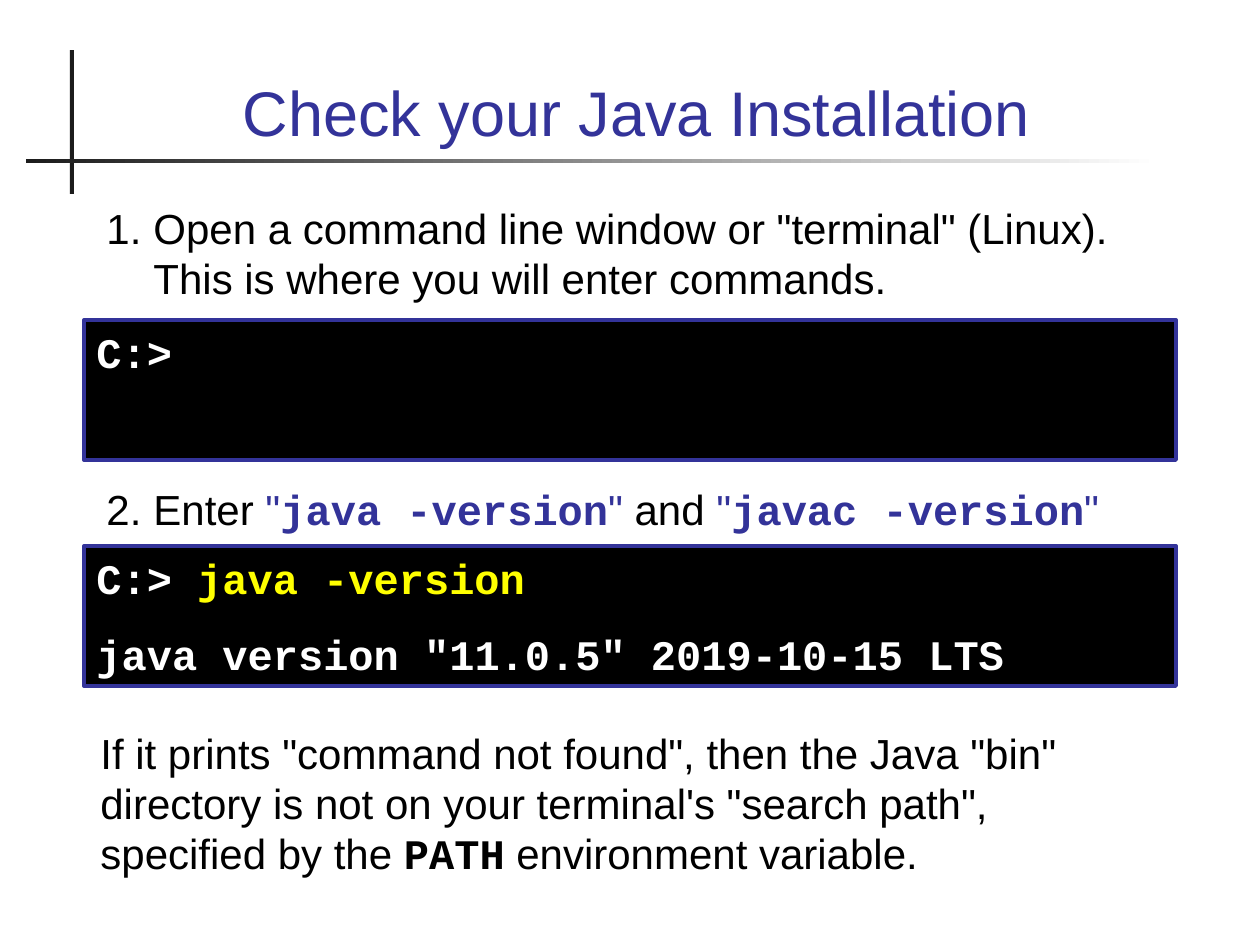
from dataclasses import dataclass

from lxml import etree
from pptx import Presentation
from pptx.dml.color import RGBColor
from pptx.enum.shapes import MSO_SHAPE
from pptx.enum.text import MSO_ANCHOR, PP_ALIGN
from pptx.oxml.ns import qn
from pptx.util import Emu, Pt

RECT = MSO_SHAPE.RECTANGLE
TOP, BOTTOM = MSO_ANCHOR.TOP, MSO_ANCHOR.BOTTOM
LEFT, CENTER = PP_ALIGN.LEFT, PP_ALIGN.CENTER
PX_PER_INCH = 126


@dataclass(frozen=True)
class Theme:
    """Colours, fonts and sizes of the slide."""
    accent: str = "333399"
    ink: str = "000000"
    paper: str = "FFFFFF"
    rule: str = "1C1C1C"
    typed: str = "FFFF00"
    sans: str = "Arial"
    mono: str = "Courier New"
    title: int = 36
    body: int = 24
    gap: int = 15
    leading: float = 28.8
    border: float = 2.25


THEME = Theme()


def px(n):
    """Turn pixels into EMU."""
    return Emu(round(n * 914400 / PX_PER_INCH))


def rgb(color):
    """Turn a hex string into a colour."""
    return RGBColor.from_string(color)


def style(font, size=None, name=None, color=None, bold=None):
    """Set the given font properties."""
    if size:
        font.size = Pt(size)
    if name:
        font.name = name
    if color:
        font.color.rgb = rgb(color)
    if bold is not None:
        font.bold = bold


def add_rect(s, box, color):
    """Add a plain filled rectangle."""
    sp = s.shapes.add_shape(RECT, *map(px, box))
    sp.shadow.inherit = False
    sp.fill.solid()
    sp.fill.fore_color.rgb = rgb(color)
    sp.line.fill.background()
    return sp


def add_text(s, box, anchor=TOP):
    """Add a wrapping text box and return its text frame."""
    tf = s.shapes.add_textbox(*map(px, box)).text_frame
    tf.word_wrap = True
    tf.vertical_anchor = anchor
    return tf


def fill_paragraph(p, runs, before=0, **font):
    """Write (text, overrides) runs into a body paragraph."""
    p.alignment = LEFT
    p.line_spacing = Pt(THEME.leading)
    if before:
        p.space_before = Pt(before)
    style(p.font, THEME.body, **font)
    for text, overrides in runs:
        for i, line in enumerate(text.split("\n")):
            if i:
                p.add_line_break()
            r = p.add_run()
            r.text = line
            style(r.font, **{"size": THEME.body, **font, **overrides})


def add_header(s, box, title):
    """Add the crossed rules and the title above them."""
    x, y, w, h = box
    add_rect(s, (x + 44, y, 4, h), THEME.rule)
    bar = add_rect(s, (x, y + 109, w, 4), THEME.rule)
    bar.fill.gradient()
    bar.fill.gradient_angle = 0
    for stop, color in zip(bar.fill.gradient_stops, (THEME.rule, THEME.paper)):
        stop.color.rgb = rgb(color)
    tf = add_text(s, (x + 37, y - 15, w + 14, 120), BOTTOM)
    p = tf.paragraphs[0]
    p.text = title
    p.alignment = CENTER
    style(p.font, THEME.title, THEME.sans, THEME.accent)


def add_steps(s, box, steps, gap):
    """Add a numbered list whose steps stand apart by the gap in points."""
    tf = add_text(s, box)
    for i, runs in enumerate(steps):
        p = tf.add_paragraph() if i else tf.paragraphs[0]
        pr = p._p.get_or_add_pPr()
        pr.set("marL", str(px(48)))
        pr.set("indent", str(-px(47)))
        etree.SubElement(pr, qn("a:buFont"), typeface=THEME.sans)
        etree.SubElement(pr, qn("a:buAutoNum"), type="arabicPeriod")
        fill_paragraph(p, runs, gap * bool(i), name=THEME.sans, color=THEME.ink)


def add_terminal(s, box, lines):
    """Add a black terminal window with its lines."""
    sp = add_rect(s, box, THEME.ink)
    sp.line.color.rgb = rgb(THEME.accent)
    sp.line.width = Pt(THEME.border)
    tf = sp.text_frame
    tf.word_wrap = True
    tf.vertical_anchor = TOP
    for i, runs in enumerate(lines):
        p = tf.add_paragraph() if i else tf.paragraphs[0]
        fill_paragraph(p, runs, THEME.gap * bool(i), name=THEME.mono,
                       color=THEME.paper, bold=True)


def add_note(s, box, runs):
    """Add the closing remark."""
    fill_paragraph(add_text(s, box).paragraphs[0], runs,
                   name=THEME.sans, color=THEME.ink)


def main():
    """Build and save the slide."""
    prs = Presentation()
    prs.slide_width, prs.slide_height = px(1260), px(945)
    s = prs.slides.add_slide(prs.slide_layouts[6])
    quote = {"color": THEME.accent}
    code = {"name": THEME.mono, "bold": True}
    command = {**quote, **code}

    add_header(s, (26, 50, 1133, 144), "Check your Java Installation")
    add_steps(s, (93, 196, 1091, 349), [
        [('Open a command line window or "terminal" (Linux). '
          "This is where you will enter commands.", {})],
        [("Enter ", {}), ('"', quote), ("java -version", command),
         ('" ', quote), ("and", {}), (' "', quote),
         ("javac -version", command), ('"', quote)],
    ], gap=103)
    add_terminal(s, (84, 320, 1092, 140), [[("C:>", {})]])
    add_terminal(s, (84, 546, 1092, 140), [
        [("C:> ", {}), ("java -version", {"color": THEME.typed})],
        [('java version "11.0.5" 2019-10-15 LTS', {})],
    ])
    add_note(s, (88, 721, 1091, 189), [
        ('If it prints "command not found", then the Java "bin" directory '
         'is not on your terminal\'s "search path",\nspecified by the ', {}),
        ("PATH", code),
        (" environment variable.", {}),
    ])
    prs.save("out.pptx")


if __name__ == "__main__":
    main()
